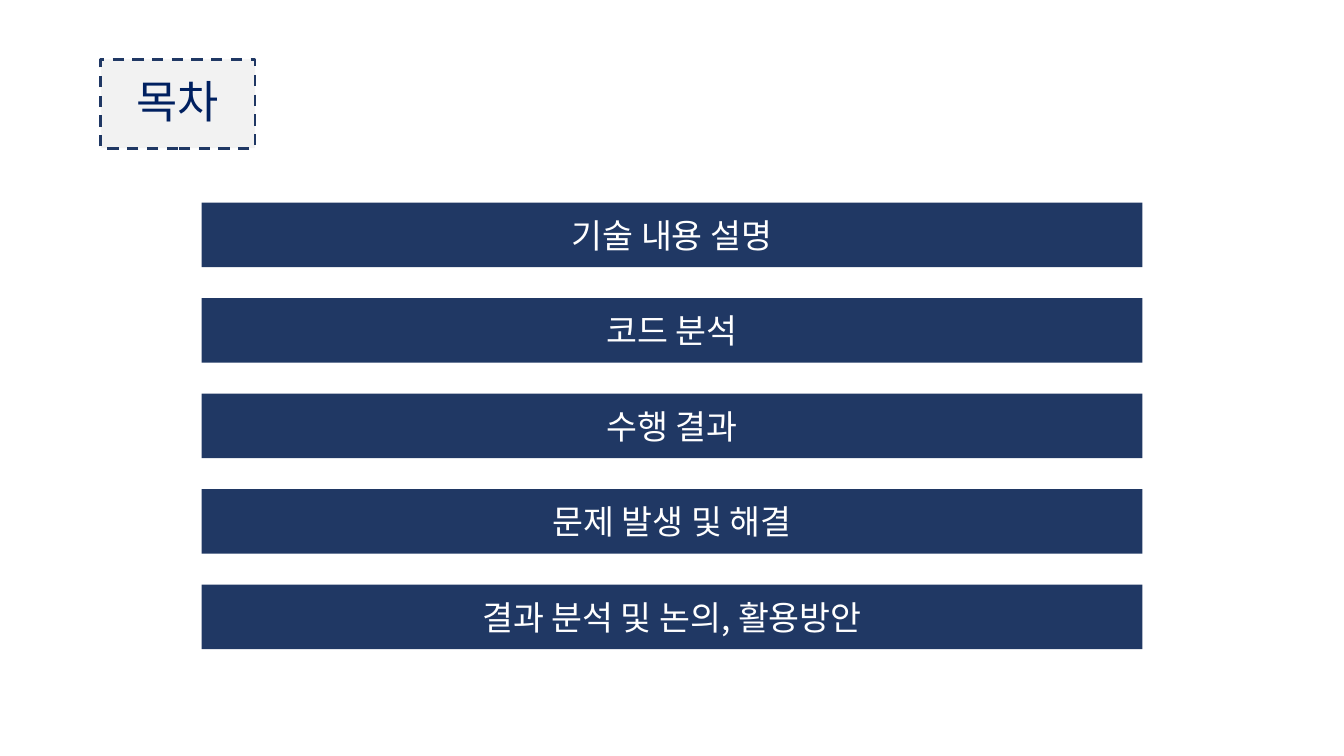
from lxml import etree
from pptx import Presentation, util as u
from pptx.dml.color import RGBColor
from pptx.enum import dml, shapes, text
from pptx.oxml.ns import qn

FONT = "Noto Sans CJK KR"
NAVY = "203864"
BAR_LEFT, BAR_TOP, BAR_WIDTH, BAR_HEIGHT = 2, 2.01, 9.33, 0.64
BAR_PITCH = 0.9475


def color(value):
    return RGBColor.from_string(value)


def add_box(parent, content, left, top, width, height, *, fill, font_color, size,
            border=None, line_spacing=None):
    shape = parent.add_shape(shapes.MSO_SHAPE.RECTANGLE, u.Inches(left), u.Inches(top),
                             u.Inches(width), u.Inches(height))
    shape.shadow.inherit = False
    shape.fill.solid()
    shape.fill.fore_color.rgb = color(fill)
    if border:
        shape.line.color.rgb = color(border)
        shape.line.width = u.Pt(2)
        shape.line.dash_style = dml.MSO_LINE.DASH
    else:
        shape.line.fill.background()
    frame = shape.text_frame
    frame.word_wrap = True
    frame.vertical_anchor = text.MSO_ANCHOR.MIDDLE
    paragraph = frame.paragraphs[0]
    paragraph.alignment = text.PP_ALIGN.CENTER
    paragraph.line_spacing = line_spacing
    run = paragraph.add_run()
    run.text = content
    run.font.size = u.Pt(size)
    run.font.color.rgb = color(font_color)
    run.font.name = FONT
    etree.SubElement(run.font._element, qn("a:ea"), typeface=FONT)


presentation = Presentation()
presentation.slide_width = u.Inches(13.33)
presentation.slide_height = u.Inches(7.5)
slide = presentation.slides.add_slide(presentation.slide_layouts[6])

add_box(slide.shapes, "목차", 1, 0.59, 1.53, 0.88, fill="F2F2F2", font_color="002060",
        size=32, border=NAVY, line_spacing=0.9)

contents = ["기술 내용 설명", "코드 분석", "수행 결과", "문제 발생 및 해결",
            "결과 분석 및 논의, 활용방안"]
group = slide.shapes.add_group_shape()
for row, title in enumerate(contents):
    add_box(group.shapes, title, BAR_LEFT, BAR_TOP + row * BAR_PITCH, BAR_WIDTH, BAR_HEIGHT,
            fill=NAVY, font_color="FFFFFF", size=24)

presentation.save("out.pptx")
